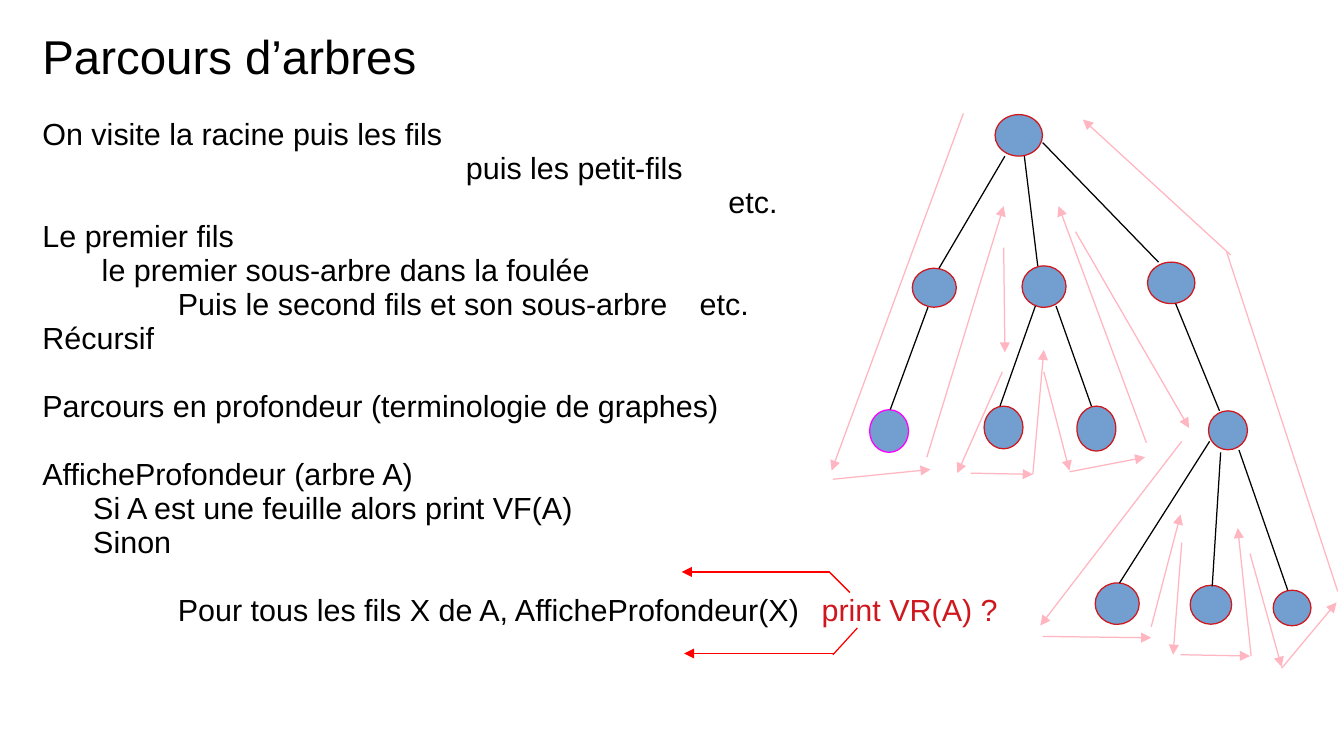
from lxml.etree import SubElement
from pptx import Presentation
from pptx.dml.color import RGBColor
from pptx.enum.shapes import MSO_CONNECTOR as Link, MSO_SHAPE as Preset
from pptx.oxml.ns import qn
from pptx.util import Pt

BLACK = RGBColor(0x00, 0x00, 0x00)
BLUE = RGBColor(0x72, 0x9F, 0xCF)
CRIMSON = RGBColor(0xCE, 0x18, 0x1E)
MAGENTA = RGBColor(0xFF, 0x00, 0xFF)
PINK = RGBColor(0xFF, 0xB6, 0xC1)
RED = RGBColor(0xFF, 0x00, 0x00)

LINE = 20.07

LESSON = [
    (LINE, [], "On visite la racine puis les fils"),
    (0, [250], "\tpuis les petit-fils"),
    (0, [405], "\tetc."),
    (0, [], "Le premier fils"),
    (0, [35], "\tle premier sous-arbre dans la foulée"),
    (0, [80, 388], "\tPuis le second fils et son sous-arbre\tetc."),
    (0, [], "Récursif"),
    (LINE, [], "Parcours en profondeur (terminologie de graphes)"),
    (LINE, [], "AfficheProfondeur (arbre A)"),
    (0, [30], "\tSi A est une feuille alors print VF(A)"),
    (0, [30], "\tSinon"),
    (LINE, [80, 460], "\tPour tous les fils X de A, AfficheProfondeur(X)\t"),
]

NODES = [
    (587.5, 67.7, 28, 24.5),
    (538.6, 158.4, 26, 23),
    (603.4, 157, 26, 24.5),
    (677.5, 154.8, 28, 24.5),
    (713.5, 242.6, 23, 23),
    (646.6, 344.2, 26, 24.5),
    (702.7, 345.6, 24.5, 23),
    (751.7, 348.5, 22.3, 21),
    (581, 239.8, 23, 25.2),
    (635.8, 239.8, 23, 26.6),
]
FIRST_LEAF = (513.4, 241.9, 23, 25.2)

BRANCHES = [
    (593.3, 92.2, 554.4, 158.4),
    (604.8, 92.2, 612.7, 157),
    (615.6, 84.2, 684, 154.8),
    (694.1, 179.3, 720, 242.6),
    (714.2, 260.6, 661, 344.2),
    (731.5, 265.7, 760.3, 348.5),
    (715.7, 346.3, 720.7, 267.1),
    (547.9, 181.4, 525.6, 241.9),
    (611.3, 180.7, 590.4, 239.8),
    (623.5, 180.7, 644.4, 239.8),
]

VISIT_STEPS = [
    (568.8, 67, 491, 277.9),
    (491.8, 283, 549.4, 277.2),
    (547.2, 270, 592.6, 121.7),
    (592.6, 146.2, 593.3, 208.1),
    (591.8, 219.6, 565.2, 279.4),
    (573.1, 279.4, 609.8, 280.1),
    (609.8, 280.1, 616.3, 206.6),
    (616.3, 219.6, 631.4, 277.9),
    (631.4, 278.6, 676.1, 270),
    (676.8, 261.4, 625, 121.7),
    (635, 136.8, 702, 252.7),
    (697.7, 260.6, 614.2, 369.4),
    (615.6, 375.8, 679.7, 376.6),
    (679.7, 370.1, 697, 303.8),
    (697.7, 320.4, 692.6, 386.6),
    (697, 386.6, 738, 387.4),
    (738.7, 387.4, 730.8, 311.8),
    (738, 326.9, 756.7, 393.8),
    (756.7, 394.6, 789.1, 355.7),
    (726.5, 150.5, 639.4, 70.6),
]
RETURN_START = (789.8, 349.2, 724.3, 149)

PRINT_ARROWS = [(490.3, 337.7, 402.5, 337.7), (492.5, 385.9, 403.9, 385.9)]
PRINT_ELBOWS = [(489.6, 337.7, 501.8, 349.9), (491.8, 386.6, 506.2, 370.8)]


class TreeSlide:
    """Draw text, tree nodes and lines on one slide in a shared style."""

    def __init__(self, slide, font="Arial", stroke=0.75):
        self.shapes = slide.shapes
        self.font = font
        self.stroke = Pt(stroke)

    def text_frame(self, left, top, width, height):
        frame = self.shapes.add_textbox(Pt(left), Pt(top), Pt(width), Pt(height)).text_frame
        frame.word_wrap = True
        frame.margin_left = frame.margin_right = Pt(7.2)
        frame.margin_top, frame.margin_bottom = Pt(5.8), Pt(3.6)
        return frame

    def format_run(self, run, size, color):
        run.font.name = self.font
        run.font.size = Pt(size)
        run.font.color.rgb = color

    def fill_paragraph(self, paragraph, text, size, pitch, before=0, stops=()):
        paragraph.text = text
        paragraph.line_spacing = Pt(pitch)
        if before:
            paragraph.space_before = Pt(before)
        if stops:
            tabs = SubElement(paragraph._p.get_or_add_pPr(), qn("a:tabLst"))
            for stop in stops:
                SubElement(tabs, qn("a:tab"), pos=str(Pt(stop)), algn="l")
        for run in paragraph.runs:
            self.format_run(run, size, BLACK)

    def node(self, box, outline):
        circle = self.shapes.add_shape(Preset.OVAL, *map(Pt, box))
        circle.shadow.inherit = False
        circle.fill.solid()
        circle.fill.fore_color.rgb = BLUE
        circle.line.color.rgb = outline
        circle.line.width = self.stroke

    def line(self, ends, color, arrow=False):
        link = self.shapes.add_connector(Link.STRAIGHT, *map(Pt, ends))
        link.line.color.rgb = color
        link.line.width = self.stroke
        if arrow:
            outline = link._element.spPr.find(qn("a:ln"))
            SubElement(outline, qn("a:tailEnd"), type="triangle")
        SubElement(link._element.spPr, qn("a:effectLst"))


def main():
    deck = Presentation()
    deck.slide_width, deck.slide_height = Pt(793.5), Pt(446.4)
    tree = TreeSlide(deck.slides.add_slide(deck.slide_layouts[6]))

    lesson = tree.text_frame(18, 12.2, 748, 420)
    tree.fill_paragraph(lesson.paragraphs[0], "Parcours d’arbres", 28, 31.4)
    for before, stops, text in LESSON:
        paragraph = lesson.add_paragraph()
        tree.fill_paragraph(paragraph, text, 18, LINE, before, stops)
    question = paragraph.add_run()
    question.text = "print VR(A) ?"
    tree.format_run(question, 18, CRIMSON)

    for box in NODES:
        tree.node(box, CRIMSON)
    tree.node(FIRST_LEAF, MAGENTA)
    for ends in BRANCHES:
        tree.line(ends, BLACK)
    for ends in VISIT_STEPS:
        tree.line(ends, PINK, arrow=True)
    tree.line(RETURN_START, PINK)
    for ends in PRINT_ARROWS:
        tree.line(ends, RED, arrow=True)
    for ends in PRINT_ELBOWS:
        tree.line(ends, RED)

    deck.save("out.pptx")


if __name__ == "__main__":
    main()
